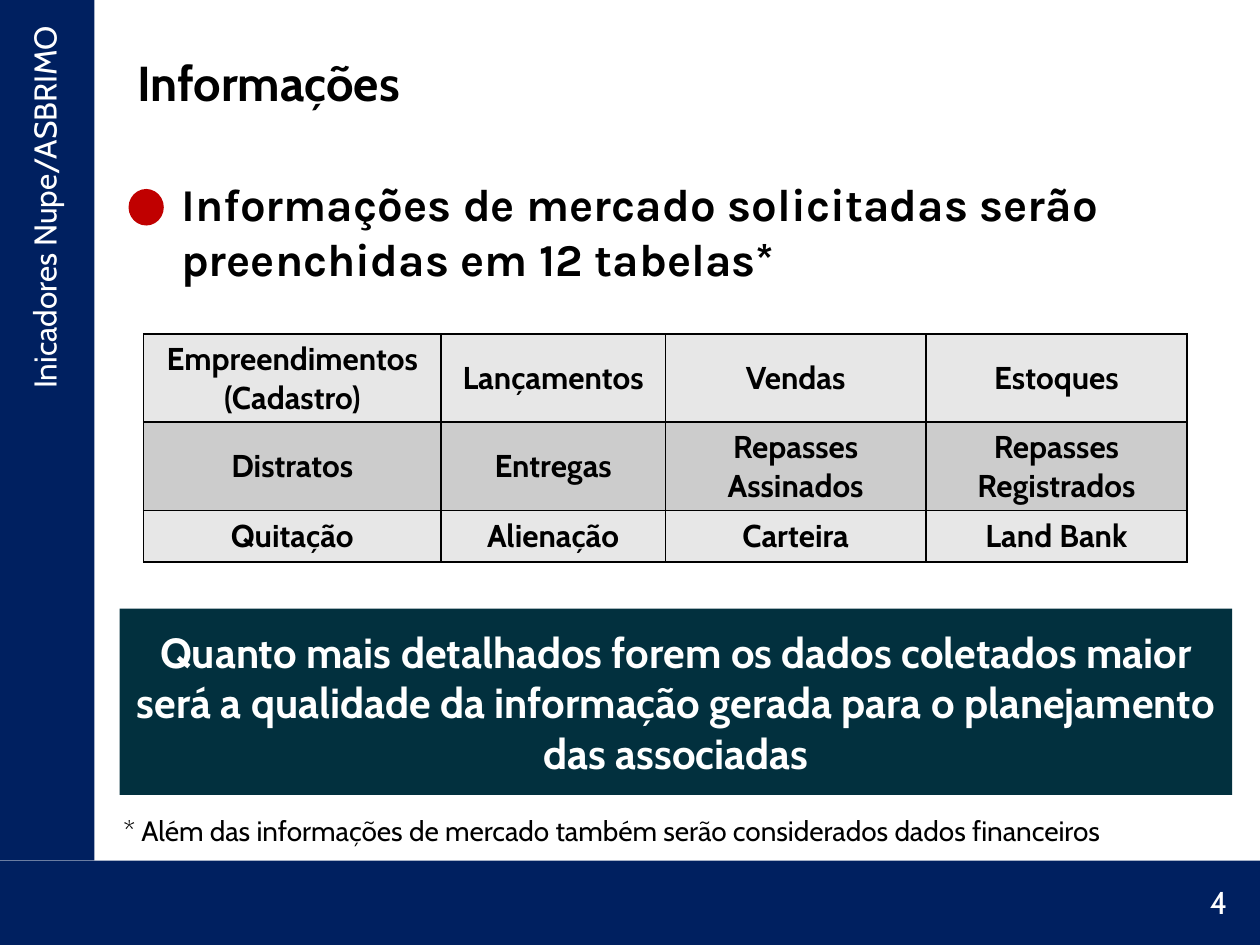
"""Builds the slide on the market information requested in twelve tables."""
from itertools import product

from lxml.etree import SubElement
from pptx import Presentation
from pptx.dml.color import RGBColor
from pptx.enum.shapes import MSO_SHAPE
from pptx.enum.text import MSO_ANCHOR, PP_ALIGN
from pptx.oxml.ns import qn
from pptx.util import Inches, Pt

SIDEBAR = "Inicadores Nupe/ASBRIMO"
TITLE = "Informações"
LEAD = "Informações de mercado solicitadas serão preenchidas em 12 tabelas*"
TABLES = [
    ["Empreendimentos (Cadastro)", "Lançamentos", "Vendas", "Estoques"],
    ["Distratos", "Entregas", "Repasses Assinados", "Repasses Registrados"],
    ["Quitação", "Alienação", "Carteira", "Land Bank"],
]
COLUMN_WIDTHS = [2.36, 1.78, 2.07, 2.07]
ROW_HEIGHTS = [0.7, 0.7, 0.41]
MESSAGE = ("Quanto mais detalhados forem os dados coletados maior será a qualidade "
           "da informação gerada para o planejamento das associadas")
FOOTNOTE = "* Além das informações de mercado também serão considerados dados financeiros"
PAGE = "4"

THEME = {
    "font": "Cabin", "lead_font": "Karla",
    "navy": "002060", "teal": "02303E", "red": "C00000",
    "ink": "000000", "paper": "FFFFFF", "rows": ["E7E7E7", "CCCCCC"],
    "title": 28, "lead": 26, "message": 24, "body": 18, "note": 16,
}


def write(frame, text, size=THEME["body"], font=THEME["font"], color=THEME["ink"],
          bold=False, align=PP_ALIGN.LEFT, anchor=MSO_ANCHOR.TOP, wrap=True, after=0):
    """Puts formatted text in a text frame."""
    frame.word_wrap = wrap
    frame.vertical_anchor = anchor
    paragraph = frame.paragraphs[0]
    paragraph.alignment = align
    paragraph.space_after = Pt(after)
    run = paragraph.add_run()
    run.text = text
    run.font.name = font
    run.font.size = Pt(size)
    run.font.bold = bold
    run.font.color.rgb = RGBColor.from_string(color)


def add_block(slide, box, color, kind=MSO_SHAPE.RECTANGLE):
    """Adds a plain filled shape."""
    block = slide.shapes.add_shape(kind, *map(Inches, box))
    block.shadow.inherit = False
    block.fill.solid()
    block.fill.fore_color.rgb = RGBColor.from_string(color)
    block.line.fill.background()
    return block


def add_text(slide, box, text, **style):
    """Adds a text box."""
    label = slide.shapes.add_textbox(*map(Inches, box))
    write(label.text_frame, text, **style)
    return label


def fill_cell(cell, color):
    """Gives a cell thin dark borders and a solid fill."""
    properties = cell._tc.get_or_add_tcPr()
    for side in ("a:lnL", "a:lnR", "a:lnT", "a:lnB"):
        border = SubElement(properties, qn(side), w=str(Pt(1)))
        SubElement(SubElement(border, qn("a:solidFill")), qn("a:srgbClr"), val=THEME["ink"])
    cell.fill.solid()
    cell.fill.fore_color.rgb = RGBColor.from_string(color)


def add_tables_grid(slide):
    """Lists the requested tables in a grid."""
    grid = slide.shapes.add_table(
        len(TABLES), len(COLUMN_WIDTHS), Inches(1.14), Inches(2.65),
        Inches(sum(COLUMN_WIDTHS)), Inches(sum(ROW_HEIGHTS))).table
    for column, width in zip(grid.columns, COLUMN_WIDTHS):
        column.width = Inches(width)
    for row, height in zip(grid.rows, ROW_HEIGHTS):
        row.height = Inches(height)
    for r, c in product(range(len(TABLES)), range(len(COLUMN_WIDTHS))):
        cell = grid.cell(r, c)
        fill_cell(cell, THEME["rows"][r % 2])
        write(cell.text_frame, TABLES[r][c], bold=True, align=PP_ALIGN.CENTER)
        cell.vertical_anchor = MSO_ANCHOR.MIDDLE


def main():
    """Builds and saves the slide."""
    deck = Presentation()
    deck.slide_width, deck.slide_height = Inches(10), Inches(7.5)
    slide = deck.slides.add_slide(deck.slide_layouts[6])

    add_block(slide, (0, 6.83, 10, 0.67), THEME["navy"])
    add_block(slide, (0, 0, 0.75, 6.83), THEME["navy"])
    sidebar = add_text(slide, (-2.55, 2.81, 5.8, 0.4), SIDEBAR,
                       color=THEME["paper"], align=PP_ALIGN.RIGHT)
    sidebar.rotation = 270
    add_text(slide, (0.99, 0.3, 8.5, 0.7), TITLE, size=THEME["title"], bold=True,
             anchor=MSO_ANCHOR.MIDDLE)
    add_text(slide, (8.92, 6.96, 0.92, 0.4), PAGE,
             color=THEME["paper"], align=PP_ALIGN.RIGHT)
    add_text(slide, (1.34, 1.35, 8.1, 0.98), LEAD, size=THEME["lead"],
             font=THEME["lead_font"], bold=True)
    add_block(slide, (1.02, 1.5, 0.28, 0.29), THEME["red"], MSO_SHAPE.OVAL)
    message = add_block(slide, (0.95, 4.83, 8.83, 1.48), THEME["teal"])
    write(message.text_frame, MESSAGE, size=THEME["message"], color=THEME["paper"],
          bold=True, align=PP_ALIGN.CENTER, anchor=MSO_ANCHOR.MIDDLE, after=12)
    add_tables_grid(slide)
    add_text(slide, (0.88, 6.41, 8.49, 0.37), FOOTNOTE, size=THEME["note"], wrap=False)

    deck.save("out.pptx")


if __name__ == "__main__":
    main()
